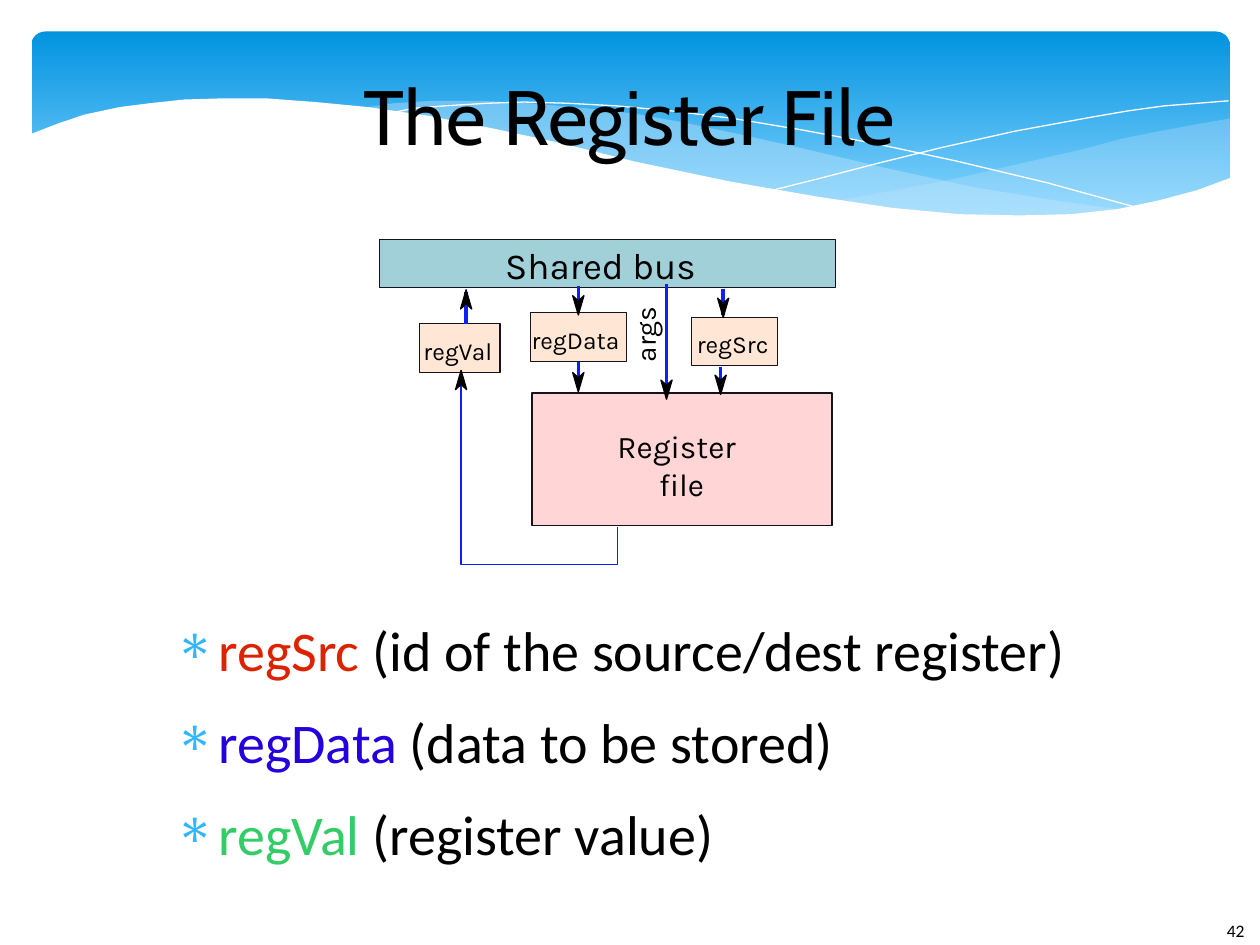
from lxml.etree import SubElement
from pptx import Presentation
from pptx.dml.color import RGBColor
from pptx.enum.shapes import MSO_CONNECTOR, MSO_SHAPE
from pptx.enum.text import MSO_ANCHOR, MSO_AUTO_SIZE, PP_ALIGN
from pptx.oxml.ns import qn
from pptx.util import Pt

BLACK = RGBColor(0x00, 0x00, 0x00)
WHITE = RGBColor(0xFF, 0xFF, 0xFF)
SKY_TOP = RGBColor(0x02, 0x93, 0xE0)
SKY_BOTTOM = RGBColor(0x83, 0xD3, 0xFE)
MIST = RGBColor(0xC6, 0xE7, 0xFC)
BULLET = RGBColor(0x31, 0xB6, 0xFD)
RED = RGBColor(0xDC, 0x23, 0x00)
BLUE = RGBColor(0x23, 0x00, 0xDC)
GREEN = RGBColor(0x33, 0xCC, 0x66)
TEAL = RGBColor(0xA2, 0xD0, 0xD9)
PINK = RGBColor(0xFF, 0xD5, 0xD5)
PEACH = RGBColor(0xFF, 0xE6, 0xD5)
OUTLINE = RGBColor(0x15, 0x11, 0x1D)
WIRE = RGBColor(0x10, 0x1E, 0xF9)

RIGHT_WAVE = [
    (703, 67.7), (682.6, 71.3), (663, 74.9), (641.5, 79.2), (620, 85), (579.6, 94.3),
    (542, 103), (508, 109.4), (476, 115.2), (497.5, 118), (527, 121), (562, 123.5),
    (593, 124), (621.4, 122.4), (645.8, 118.8), (668, 113.8), (683.3, 109.4), (703, 101.5)]
MIDDLE_WAVE = [
    (643, 120.2), (602.6, 114.5), (558, 107.3), (508.3, 96.5), (452.9, 83.5),
    (420.5, 76.3), (389.5, 69.8), (361.4, 64.8), (334.8, 61.9), (302.4, 59),
    (273.6, 57.6), (247.7, 57.6), (225.4, 59), (205.9, 61.9), (232.6, 64.8),
    (260.6, 69.8), (290.9, 76.3), (323.3, 83.5), (381.6, 97.2), (420.5, 105.1),
    (456.5, 112.3), (489.6, 117.4), (519.8, 121), (547.9, 123.1), (573, 124.6),
    (596, 124.6), (617, 123.1)]
FALLING_CURVE = [
    (222.5, 64.8), (236.2, 61.9), (254.2, 60.5), (278.6, 59), (299.5, 58.3), (324, 59),
    (352.1, 60.5), (383.8, 63.4), (419, 67.7), (457.9, 74.2), (500.4, 82.1),
    (547.2, 92.2), (598.3, 104.4), (653, 119.5)]
RISING_CURVE = [
    (441.4, 108.7), (470.2, 101.5), (500.4, 93.6), (538.6, 84.2), (580.3, 74.9),
    (623.5, 67), (644.4, 63.4), (665.3, 60.5), (684.7, 59), (702, 57.6)]
WHITE_WAVE = [
    (703.4, 101.5), (684, 108.7), (662.4, 114.5), (638.6, 119.5), (612, 122.4),
    (582.5, 123.1), (547.9, 122.4), (509.8, 118.8), (466.6, 112.3), (416.9, 103.7),
    (362.2, 92.2), (321.8, 82.1), (281.5, 73.4), (244.8, 66.2), (210.2, 61.2),
    (180, 58.3), (151.9, 56.2), (127.4, 56.2), (105.1, 56.9), (85.7, 59), (68.4, 61.2),
    (48.2, 65.5), (33.1, 70.6), (16.6, 77), (16.6, 161.3), (703.4, 161.3)]


def apply(target, values):
    for name, value in values.items():
        setattr(target, name, value)


class SlideWriter:
    no_insets = dict(margin_left=0, margin_top=0, margin_right=0, margin_bottom=0)
    label_frame = dict(no_insets, word_wrap=False, auto_size=MSO_AUTO_SIZE.SHAPE_TO_FIT_TEXT)
    block_frame = dict(no_insets, word_wrap=True, auto_size=MSO_AUTO_SIZE.NONE)

    def __init__(self, slide):
        self.slide = slide
        self.shapes = slide.shapes

    def paint(self, shape, fill=None, line=None, alpha=None):
        shape.shadow.inherit = False
        if fill is None:
            shape.fill.background()
        else:
            shape.fill.solid()
            shape.fill.fore_color.rgb = fill
        if alpha is not None:
            color = next(shape._element.iter(qn("a:srgbClr")))
            SubElement(color, qn("a:alpha"), val=str(alpha * 1000))
        if line is None:
            shape.line.fill.background()
        else:
            shape.line.color.rgb = line
            shape.line.width = Pt(0)
        return shape

    def banner(self, left, top, width, height):
        banner = self.shapes.add_shape(
            MSO_SHAPE.ROUNDED_RECTANGLE, Pt(left), Pt(top), Pt(width), Pt(height))
        self.paint(banner)
        banner.adjustments[0] = 0.07
        banner.fill.gradient()
        banner.fill.gradient_angle = 270
        for stop, color, position in zip(
                banner.fill.gradient_stops, (SKY_TOP, SKY_BOTTOM), (0, 0.9)):
            stop.color.rgb = color
            stop.position = position

    def outline(self, points, closed=True, **look):
        (x, y), *rest = [(Pt(x), Pt(y)) for x, y in points]
        builder = self.shapes.build_freeform(x, y)
        builder.add_line_segments(rest, close=closed)
        self.paint(builder.convert_to_shape(), **look)

    def box(self, left, top, width, height, fill):
        box = self.shapes.add_shape(
            MSO_SHAPE.RECTANGLE, Pt(left), Pt(top), Pt(width), Pt(height))
        return self.paint(box, fill, OUTLINE)

    def run(self, paragraph, text, font, size, color=BLACK):
        run = paragraph.add_run()
        run.text = text
        apply(run.font, dict(name=font, size=Pt(size)))
        run.font.color.rgb = color

    def title(self, text, left, top, width, height):
        title = self.shapes.title
        self.shapes._spTree.append(title._element)
        apply(title, dict(left=Pt(left), top=Pt(top), width=Pt(width), height=Pt(height)))
        apply(title.text_frame, dict(self.block_frame, vertical_anchor=MSO_ANCHOR.MIDDLE))
        paragraph = title.text_frame.paragraphs[0]
        paragraph.alignment = PP_ALIGN.CENTER
        self.run(paragraph, text, "Cabin", 44)

    def text(self, text, left, top, width, height, size, font="Karla", frame=None, rotation=0):
        label = self.shapes.add_textbox(Pt(left), Pt(top), Pt(width), Pt(height))
        label.rotation = rotation
        apply(label.text_frame, self.label_frame if frame is None else frame)
        self.run(label.text_frame.paragraphs[0], text, font, size)

    def bullets(self, items, left, top, width, height):
        frame = self.shapes.add_textbox(Pt(left), Pt(top), Pt(width), Pt(height)).text_frame
        apply(frame, self.block_frame)
        for index, (term, meaning, color) in enumerate(items):
            paragraph = frame.add_paragraph() if index else frame.paragraphs[0]
            paragraph.space_after = Pt(14)
            properties = paragraph._p.get_or_add_pPr()
            properties.set("marL", str(Pt(37)))
            properties.set("indent", str(Pt(-25)))
            bullet_color = SubElement(properties, qn("a:buClr"))
            SubElement(bullet_color, qn("a:srgbClr"), val=str(BULLET))
            SubElement(properties, qn("a:buChar"), char="∗")
            self.run(paragraph, term, "Calibri", 32, color)
            self.run(paragraph, meaning, "Calibri", 32)

    def head(self, x, tip, back):
        self.outline([(x, tip + 8 * back), (x - 3.2, tip + 11 * back), (x, tip),
                      (x + 3.2, tip + 11 * back)], fill=BLACK, line=BLACK)

    def arrow(self, x, start, end, source=None, target=None):
        wire = self.shapes.add_connector(
            MSO_CONNECTOR.STRAIGHT, Pt(x), Pt(start), Pt(x), Pt(end))
        wire.line.color.rgb = WIRE
        wire.line.width = Pt(0)
        SubElement(wire._element.spPr, qn("a:effectLst"))
        if source is not None:
            wire.begin_connect(source, 2)
        if target is not None:
            wire.end_connect(target, 0)
        back = -1 if end > start else 1
        self.head(x, end - 1.4 * back, back)


def main():
    presentation = Presentation()
    apply(presentation, dict(slide_width=Pt(720), slide_height=Pt(540)))
    writer = SlideWriter(presentation.slides.add_slide(presentation.slide_layouts[5]))

    writer.banner(18, 18, 684.7, 112.3)
    writer.outline(RIGHT_WAVE, fill=MIST, alpha=29)
    writer.outline(MIDDLE_WAVE, fill=MIST, alpha=40)
    for curve in (FALLING_CURVE, RISING_CURVE):
        writer.outline(curve, closed=False, line=WHITE)
    writer.outline(WHITE_WAVE, fill=WHITE)
    writer.text("42", 694, 522, 44, 28.8, 10, font="Calibri", frame=dict(word_wrap=True))

    writer.title("The Register File", 67.7, 28.8, 583.9, 73.4)
    writer.bullets([
        ("regSrc", " (id of the source/dest register)", RED),
        ("regData", " (data to be stored)", BLUE),
        ("regVal", " (register value)", GREEN),
    ], 87.8, 352, 610.6, 156.2)

    writer.box(216.7, 136.8, 260.6, 27.4, TEAL)
    writer.box(304, 224.6, 171.4, 75.6, PINK)
    writer.box(395.3, 181.4, 49, 27.4, PEACH)
    reg_data = writer.box(303.1, 178.6, 54.8, 28, PEACH)
    writer.box(239.8, 185, 46, 28, PEACH)

    writer.arrow(413.3, 164.9, 180)
    writer.arrow(411.8, 209.5, 224)
    writer.arrow(330.5, 163.4, 178.6, target=reg_data)
    writer.arrow(330.5, 206.6, 222.5, source=reg_data)
    writer.arrow(266.4, 185, 167)
    writer.arrow(380.9, 162, 226.8)
    writer.outline([(352.8, 301), (352.8, 322.6), (263.5, 322.6), (263.5, 213.1)],
                   closed=False, line=WIRE)
    writer.head(263.5, 211.7, 1)

    for label in [
        ("Register", 352.8, 244, 75, 24.5, 18),
        ("file", 376.6, 265.7, 31, 24.5, 18),
        ("regSrc", 398.2, 188, 47.5, 18.7, 14),
        ("regData", 303.8, 185.8, 55.4, 18.7, 14),
        ("regVal", 242, 192.2, 46.8, 18.7, 14),
        ("Shared bus", 288.7, 139, 116.6, 28, 21),
    ]:
        writer.text(*label)
    writer.text("args", 350.6, 177.1, 38.2, 21.6, 16, rotation=270)

    presentation.save("out.pptx")


if __name__ == "__main__":
    main()
